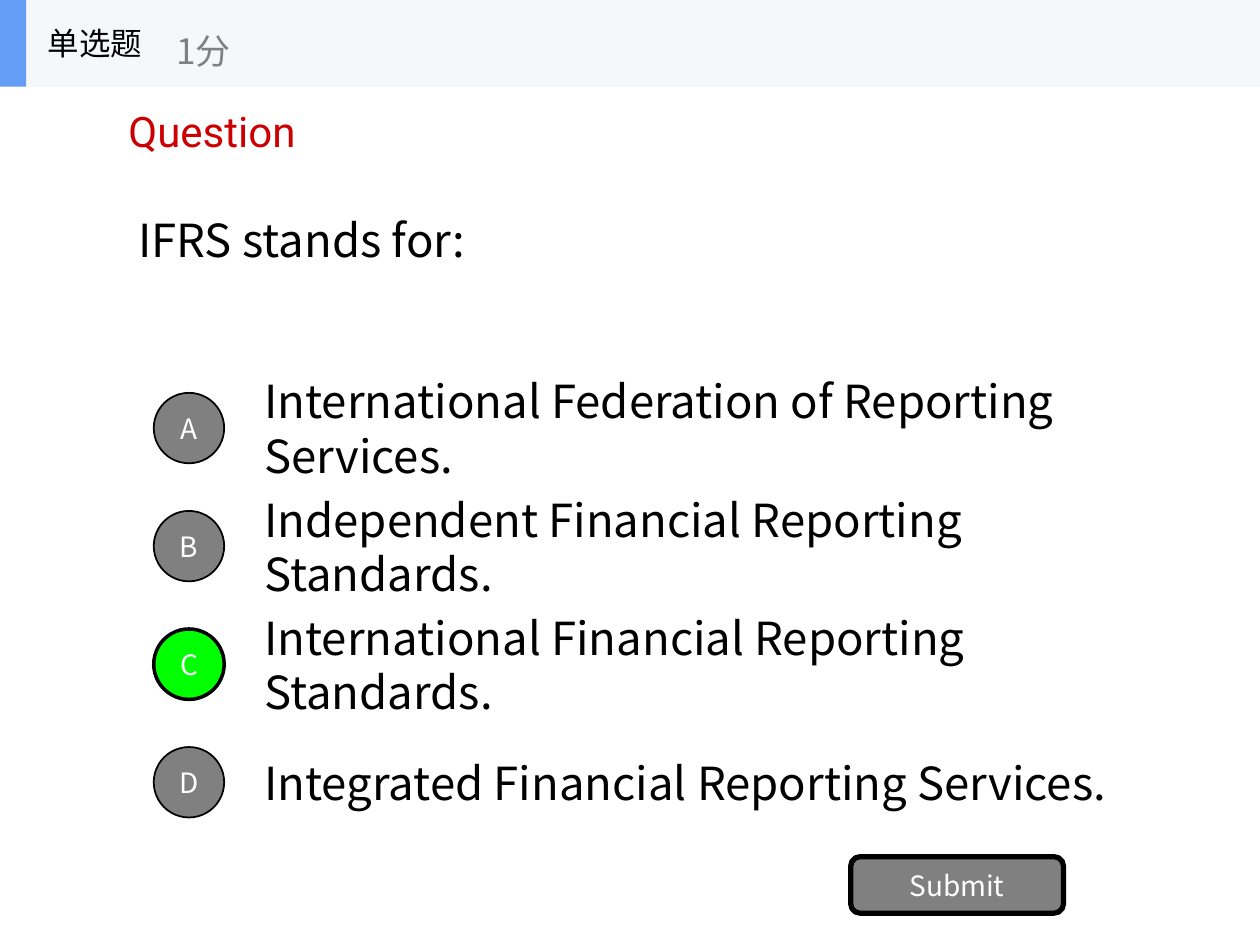
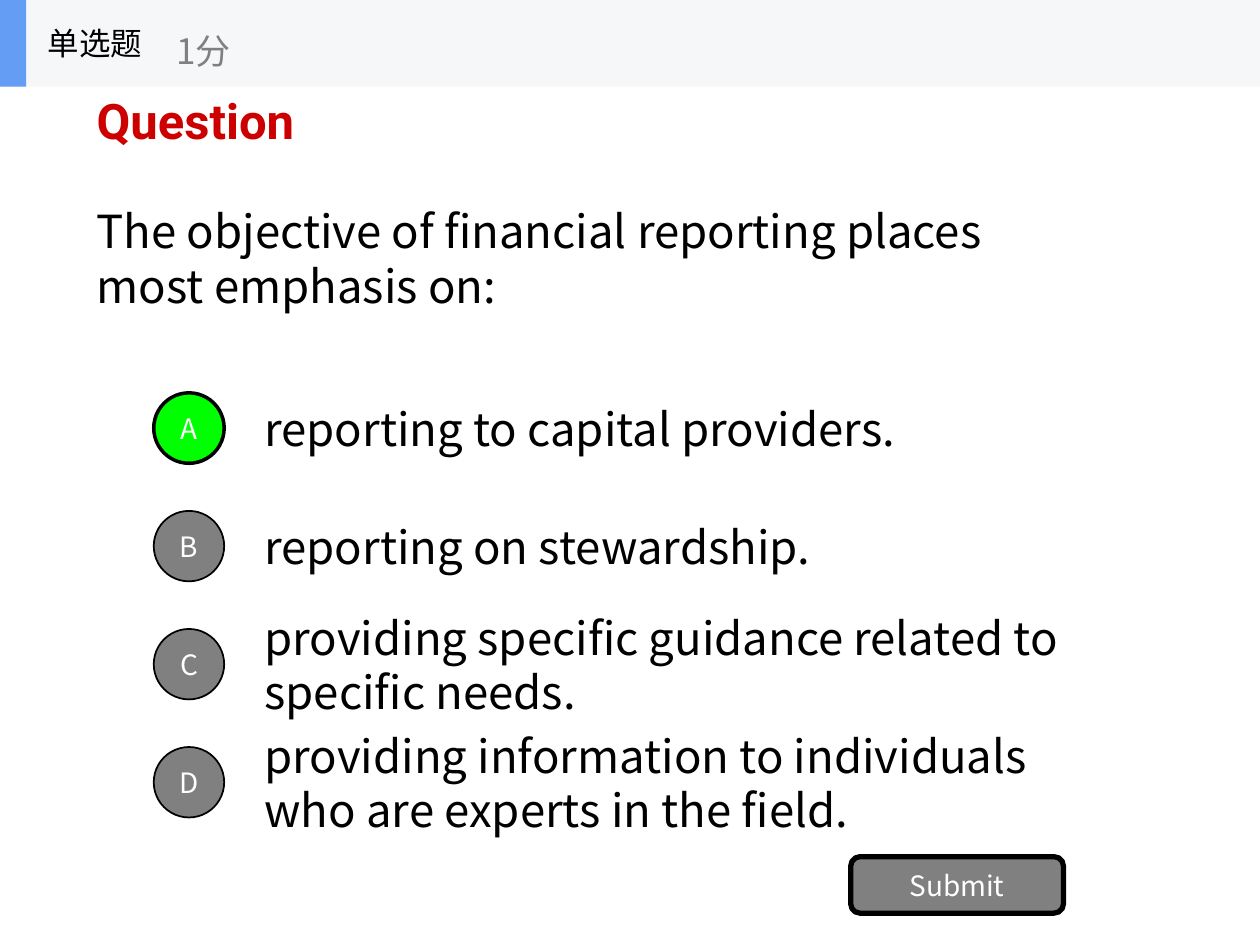
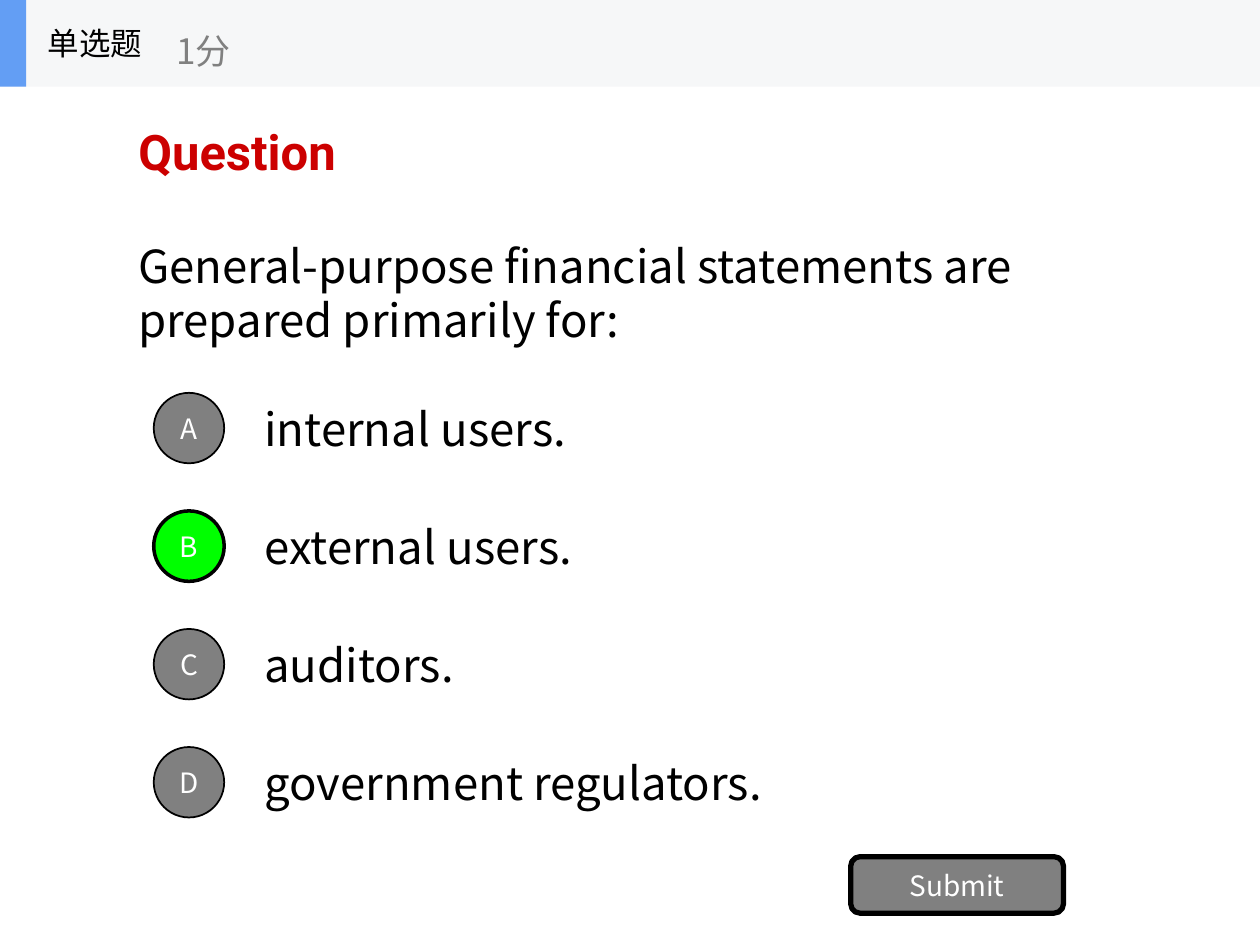
import pptx
import pptx.dml.color
import pptx.enum.shapes
import pptx.enum.text
import pptx.oxml
import pptx.oxml.ns
import pptx.util

Cm, Pt = pptx.util.Cm, pptx.util.Pt
RGBColor = pptx.dml.color.RGBColor
SHAPE = pptx.enum.shapes.MSO_SHAPE
ANCHOR = pptx.enum.text.MSO_ANCHOR
ALIGN = pptx.enum.text.PP_ALIGN

BLACK = RGBColor(0x00, 0x00, 0x00)
WHITE = RGBColor(0xFF, 0xFF, 0xFF)
GREY = RGBColor(0x80, 0x80, 0x80)
GREEN = RGBColor(0x00, 0xFF, 0x00)
RED = RGBColor(0xCC, 0x00, 0x00)
BAND = RGBColor(0xF6, 0xF7, 0xF8)
BLUE = RGBColor(0x63, 0x9E, 0xF4)
BODY_FONT = "Noto Sans CJK SC"
HEADING_FONT = "Roboto"
BODY_SIZE = 26
BODY_LEADING = 31.2

# Places are (left, top, width, height) in centimetres.
# A quiz with "heading_place" keeps its heading in a box of its own;
# otherwise heading and question share a box, "gap" points apart.
QUIZZES = [
    {
        "question": "IFRS stands for:",
        "place": (2.54, 3.61, 20.32, 2.44),
        "heading_place": (2.34, 2.01, 12.7, 1.27),
        "options": [
            "International Federation of Reporting Services.",
            "Independent Financial Reporting Standards.",
            "International Financial Reporting Standards.",
            "Integrated Financial Reporting Services.",
        ],
        "answer": "C",
    },
    {
        "question": "The objective of financial reporting places most emphasis on:",
        "place": (1.7, 1.09, 20.32, 5.94),
        "gap": 31,
        "options": [
            "reporting to capital providers.",
            "reporting on stewardship.",
            "providing specific guidance related to specific needs.",
            "providing information to individuals who are experts in the field.",
        ],
        "answer": "A",
    },
    {
        "question": "General-purpose financial statements are prepared primarily for:",
        "place": (2.54, 1.75, 20.32, 5.94),
        "gap": 33,
        "options": [
            "internal users.",
            "external users.",
            "auditors.",
            "government regulators.",
        ],
        "answer": "B",
    },
]

PAGE_WIDTH, PAGE_HEIGHT = 25.4, 19.05
HEADER_HEIGHT = 1.75
OPTION_TOP, OPTION_PITCH, OPTION_HEIGHT = 7.74, 2.38, 1.78
CIRCLE_SIZE = 1.42


def style(para, size, color, name=BODY_FONT, bold=False):
    font = para.font
    font.size, font.name, font.bold = Pt(size), name, bold
    font.color.rgb = color
    east_asian = pptx.oxml.parse_xml(
        f'<a:ea {pptx.oxml.ns.nsdecls("a")} typeface="{name}"/>')
    para._p.pPr.find(pptx.oxml.ns.qn("a:defRPr")).append(east_asian)
    for span in para.runs:
        span.font.size, span.font.name, span.font.bold = Pt(size), name, bold
        span.font.color.rgb = color
        span._r.rPr.append(pptx.oxml.parse_xml(
            f'<a:ea {pptx.oxml.ns.nsdecls("a")} typeface="{name}"/>'))


def add_text(shapes, place, text, size, color, name=BODY_FONT, bold=False):
    box = shapes.add_textbox(*map(Cm, place))
    frame = box.text_frame
    frame.word_wrap = True
    frame.vertical_anchor = ANCHOR.MIDDLE
    frame.text = text
    style(frame.paragraphs[0], size, color, name, bold)
    return box


def add_body(shapes, place, text):
    box = add_text(shapes, place, text, BODY_SIZE, BLACK)
    box.text_frame.paragraphs[0].line_spacing = Pt(BODY_LEADING)


def add_block(shapes, kind, place, fill):
    block = shapes.add_shape(kind, *map(Cm, place))
    block.shadow.inherit = False
    block.fill.solid()
    block.fill.fore_color.rgb = fill
    block.line.fill.background()
    return block


def add_button(shapes, kind, place, label, fill, line_width):
    button = add_block(shapes, kind, place, fill)
    button.line.color.rgb = BLACK
    button.line.width = Pt(line_width)
    frame = button.text_frame
    frame.margin_left = frame.margin_right = 0
    frame.margin_top = frame.margin_bottom = 0
    frame.vertical_anchor = ANCHOR.MIDDLE
    frame.text = label
    frame.paragraphs[0].alignment = ALIGN.CENTER
    style(frame.paragraphs[0], 16, WHITE)


def add_header(page):
    header = page.shapes.add_group_shape().shapes
    add_block(header, SHAPE.RECTANGLE, (0, 0, PAGE_WIDTH, HEADER_HEIGHT), BAND)
    add_block(header, SHAPE.RECTANGLE, (0, 0, 0.53, HEADER_HEIGHT), BLUE)
    add_text(header, (0.71, 0, 5.28, HEADER_HEIGHT), "单选题", 18, BLACK)
    add_text(header, (3.3, 0.3, 6.35, 1.42), "1分", 20, GREY)


def add_question(page, quiz):
    if "heading_place" in quiz:
        add_body(page.shapes, quiz["place"], quiz["question"])
        heading = add_text(page.shapes, quiz["heading_place"], "Question",
                           24, RED, HEADING_FONT)
        heading.text_frame.vertical_anchor = ANCHOR.TOP
        return
    box = add_text(page.shapes, quiz["place"], "Question",
                   28, RED, HEADING_FONT, True)
    para = box.text_frame.add_paragraph()
    para.text = quiz["question"]
    para.line_spacing = Pt(BODY_LEADING)
    para.space_before = Pt(quiz["gap"])
    style(para, BODY_SIZE, BLACK)


def add_options(page, options, answer):
    for row, (letter, option) in enumerate(zip("ABCD", options)):
        top = OPTION_TOP + row * OPTION_PITCH
        add_body(page.shapes, (5.08, top, 17.78, OPTION_HEIGHT), option)
        circle_top = top + (OPTION_HEIGHT - CIRCLE_SIZE) / 2
        fill, line_width = (GREEN, 2) if letter == answer else (GREY, 1)
        add_button(page.shapes, SHAPE.OVAL,
                   (3.1, circle_top, CIRCLE_SIZE, CIRCLE_SIZE),
                   letter, fill, line_width)


def main():
    deck = pptx.Presentation()
    deck.slide_width, deck.slide_height = Cm(PAGE_WIDTH), Cm(PAGE_HEIGHT)
    for quiz in QUIZZES:
        page = deck.slides.add_slide(deck.slide_layouts[6])
        add_question(page, quiz)
        add_options(page, quiz["options"], quiz["answer"])
        add_button(page.shapes, SHAPE.ROUNDED_RECTANGLE,
                   (17.15, 17.27, 4.29, 1.14), "Submit", GREY, 3)
        add_header(page)
    deck.save("out.pptx")


if __name__ == "__main__":
    main()
